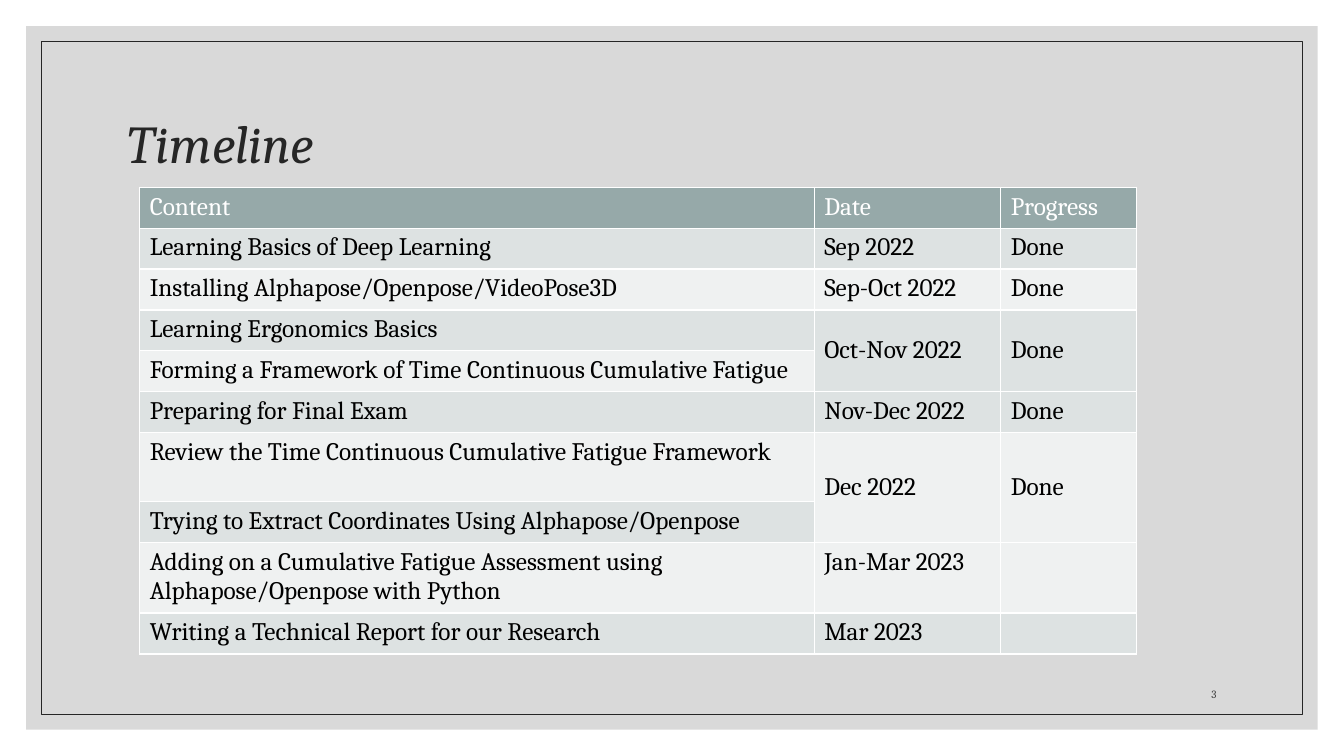
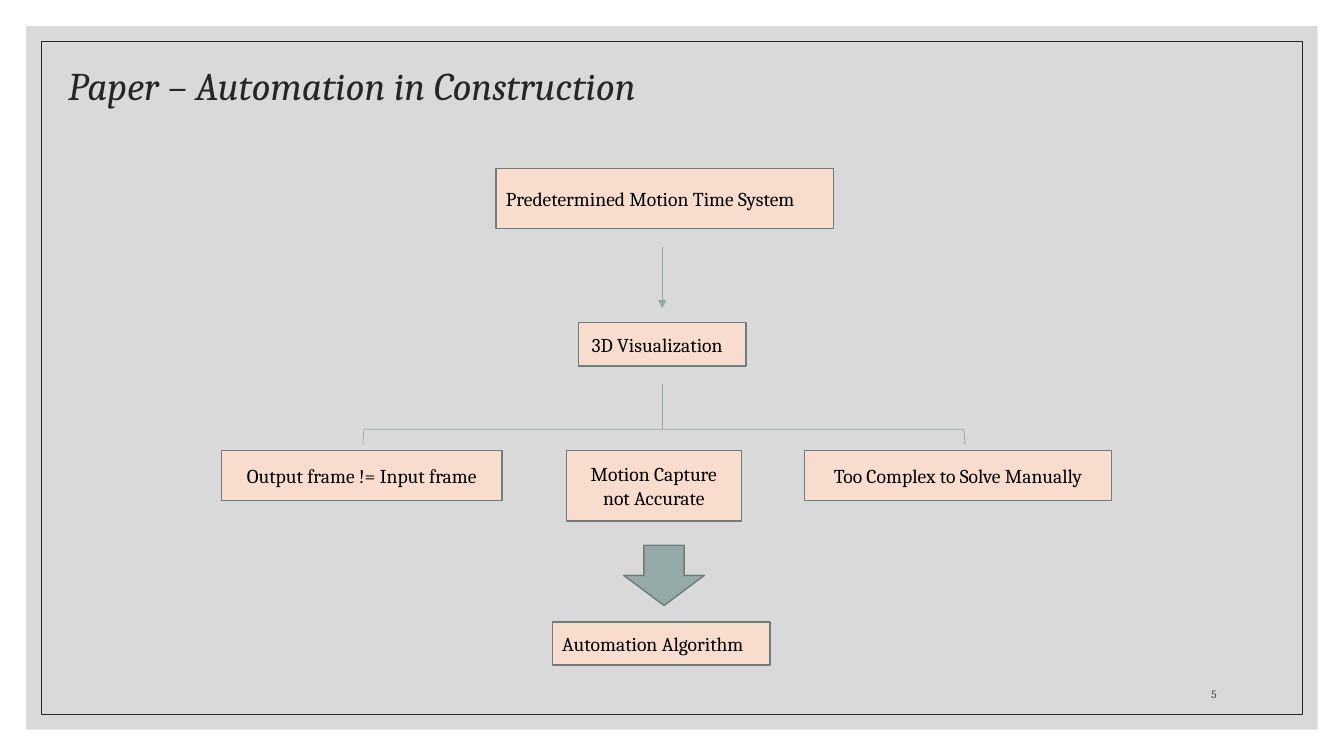
from dataclasses import dataclass

from pptx import Presentation
from pptx.dml.color import RGBColor
from pptx.enum.shapes import MSO_CONNECTOR, MSO_SHAPE
from pptx.enum.text import MSO_ANCHOR, PP_ALIGN
from pptx.oxml import parse_xml
from pptx.oxml.ns import nsdecls, qn
from pptx.oxml.xmlchemy import OxmlElement
from pptx.shapes.autoshape import Shape
from pptx.shapes.connector import Connector
from pptx.slide import Slide
from pptx.table import _Cell
from pptx.text.text import _Paragraph
from pptx.util import Cm, Pt

FONT = "Cambria"
WHITE = RGBColor(0xFF, 0xFF, 0xFF)
BLACK = RGBColor(0x00, 0x00, 0x00)
PANEL = RGBColor(0xD9, 0xD9, 0xD9)
INK = RGBColor(0x26, 0x26, 0x26)
NUMBER_GREY = RGBColor(0x40, 0x40, 0x40)
TEAL = RGBColor(0x96, 0xA9, 0xA9)
TEAL_DARK = RGBColor(0x6F, 0x7D, 0x7D)
BAND_DARK = RGBColor(0xDD, 0xE2, 0xE2)
BAND_LIGHT = RGBColor(0xEF, 0xF1, 0xF1)
PEACH = RGBColor(0xF8, 0xDD, 0xCF)

SLIDE_W, SLIDE_H = 33.87, 19.05
AXIS_X = 16.69


@dataclass
class Task:
    content: str
    date: str = ""
    progress: str = ""
    rows: int = 1
    height: float = 1.03


@dataclass
class Box:
    text: str
    left: float
    top: float
    width: float
    height: float
    align: PP_ALIGN = PP_ALIGN.CENTER
    inset: float = 0.25


TASKS = [
    Task("Learning Basics of Deep Learning", "Sep 2022", "Done"),
    Task("Installing Alphapose/Openpose/VideoPose3D", "Sep-Oct 2022", "Done"),
    Task("Learning Ergonomics Basics", "Oct-Nov 2022", "Done", rows=2),
    Task("Forming a Framework of Time Continuous Cumulative Fatigue"),
    Task("Preparing for Final Exam", "Nov-Dec 2022", "Done"),
    Task("Review the Time Continuous Cumulative Fatigue Framework",
         "Dec 2022", "Done", rows=2, height=1.74),
    Task("Trying to Extract Coordinates Using Alphapose/Openpose"),
    Task("Adding on a Cumulative Fatigue Assessment using "
         "Alphapose/Openpose with Python", "Jan-Mar 2023", height=1.72),
    Task("Writing a Technical Report for our Research", "Mar 2023"),
]

BOXES = [
    Box("Predetermined Motion Time System", 12.5, 4.24, 8.51, 1.52, PP_ALIGN.LEFT),
    Box("3D Visualization", 14.58, 8.13, 4.22, 1.09, PP_ALIGN.LEFT, 0.33),
    Box("Output frame != Input frame", 5.59, 11.35, 7.06, 1.27),
    Box("Motion Capture not Accurate", 14.27, 11.35, 4.42, 1.78),
    Box("Too Complex to Solve Manually", 20.27, 11.35, 7.75, 1.27),
    Box("Automation Algorithm", 13.92, 15.67, 5.49, 1.09, PP_ALIGN.LEFT),
]


def style(p: _Paragraph, size: float, color: RGBColor, italic: bool = False) -> None:
    f = p.font
    f.name, f.size, f.bold, f.italic = FONT, Pt(size), False, italic
    f.color.rgb = color


def add_shape(s: Slide, kind: MSO_SHAPE, left: float, top: float, width: float,
              height: float, fill: RGBColor | None = None,
              line: RGBColor | None = None, weight: float = 1) -> Shape:
    sp = s.shapes.add_shape(kind, Cm(left), Cm(top), Cm(width), Cm(height))
    sp.shadow.inherit = False
    if fill is None:
        sp.fill.background()
    else:
        sp.fill.solid()
        sp.fill.fore_color.rgb = fill
    if line is None:
        sp.line.fill.background()
    else:
        sp.line.color.rgb = line
        sp.line.width = Pt(weight)
    return sp


def add_text(s: Slide, text: str, left: float, top: float, width: float,
             height: float, anchor: MSO_ANCHOR) -> _Paragraph:
    tf = s.shapes.add_textbox(Cm(left), Cm(top), Cm(width), Cm(height)).text_frame
    tf.word_wrap = True
    tf.vertical_anchor = anchor
    p = tf.paragraphs[0]
    p.text = text
    return p


def add_base(prs: Presentation, number: int) -> Slide:
    """Add a blank slide with the grey panel, its frame and the slide number."""
    s = prs.slides.add_slide(prs.slide_layouts[6])
    for margin, fill, line in ((0.66, PANEL, None), (1.04, None, INK)):
        add_shape(s, MSO_SHAPE.RECTANGLE, margin, margin, SLIDE_W - 2 * margin,
                  SLIDE_H - 2 * margin, fill, line, 0.5)
    p = add_text(s, str(number), 28.57, 16.76, 2.34, 1.02, MSO_ANCHOR.BOTTOM)
    p.alignment = PP_ALIGN.RIGHT
    style(p, 8, NUMBER_GREY)
    return s


def add_title(s: Slide, text: str, left: float, top: float, width: float,
              height: float, size: float) -> None:
    p = add_text(s, text, left, top, width, height, MSO_ANCHOR.MIDDLE)
    p.line_spacing = 0.9
    style(p, size, INK, italic=True)


def fill_cell(cell: _Cell, text: str, color: RGBColor, fill: RGBColor) -> None:
    tc_pr = cell._tc.get_or_add_tcPr()
    for side in ("lnL", "lnR", "lnT", "lnB"):
        tc_pr.append(parse_xml(
            f'<a:{side} {nsdecls("a")} w="12700"><a:solidFill>'
            f'<a:srgbClr val="{WHITE}"/></a:solidFill></a:{side}>'))
    cell.fill.solid()
    cell.fill.fore_color.rgb = fill
    p = cell.text_frame.paragraphs[0]
    p.text = text
    style(p, 18, color)


def add_timeline(s: Slide) -> None:
    rows = [Task("Content", "Date", "Progress"), *TASKS]
    widths = (17, 4.7, 3.43)
    table = s.shapes.add_table(
        len(rows), len(widths), Cm(3.52), Cm(4.72), Cm(sum(widths)),
        Cm(sum(task.height for task in rows))).table
    for column, width in zip(table.columns, widths):
        column.width = Cm(width)
    for i, task in enumerate(rows):
        table.rows[i].height = Cm(task.height)
        color = WHITE if i == 0 else BLACK
        fill = TEAL if i == 0 else BAND_DARK if i % 2 else BAND_LIGHT
        for j, text in enumerate((task.content, task.date, task.progress)):
            cell = table.cell(i, j)
            fill_cell(cell, text, color, fill)
            if j > 0 and task.rows > 1:
                cell.merge(table.cell(i + task.rows - 1, j))
                cell.vertical_anchor = MSO_ANCHOR.MIDDLE


def add_box(s: Slide, box: Box) -> None:
    sp = add_shape(s, MSO_SHAPE.RECTANGLE, box.left, box.top, box.width,
                   box.height, PEACH, TEAL_DARK)
    tf = sp.text_frame
    tf.word_wrap = True
    tf.vertical_anchor = MSO_ANCHOR.MIDDLE
    tf.margin_left = Cm(box.inset)
    tf.margin_right = Cm(0.1)if box.align == PP_ALIGN.LEFT else Cm(box.inset)
    p = tf.paragraphs[0]
    p.text = box.text
    p.alignment = box.align
    style(p, 14, BLACK)


def add_stem(s: Slide, top: float, bottom: float) -> Connector:
    """Draw a thin vertical line on the axis of the flow chart."""
    c = s.shapes.add_connector(MSO_CONNECTOR.STRAIGHT, Cm(AXIS_X), Cm(top),
                               Cm(AXIS_X), Cm(bottom))
    c.line.color.rgb = TEAL
    c.line.width = Pt(0.5)
    c._element.spPr.append(OxmlElement("a:effectLst"))
    return c


def add_flow_chart(s: Slide) -> None:
    for box in BOXES:
        add_box(s, box)
    arrow = add_stem(s, 6.22, 7.77)
    head = OxmlElement("a:tailEnd")
    head.set("type", "triangle")
    arrow._element.spPr.find(qn("a:ln")).append(head)
    add_stem(s, 9.68, 10.82)
    bracket = add_shape(s, MSO_SHAPE.LEFT_BRACKET, 16.54, 3.43, 0.38, 15.16,
                        line=TEAL, weight=0.5)
    bracket.rotation = 90
    add_shape(s, MSO_SHAPE.DOWN_ARROW, 15.72, 13.74, 2.03, 1.52, TEAL, TEAL_DARK)


def main() -> None:
    prs = Presentation()
    prs.slide_width, prs.slide_height = Cm(SLIDE_W), Cm(SLIDE_H)

    s = add_base(prs, 3)
    add_title(s, "Timeline", 2.97, 1.78, 27.94, 3.81, 38)
    add_timeline(s)

    s = add_base(prs, 5)
    add_title(s, "Paper – Automation in Construction", 1.47, 1.35, 19.53, 1.7, 28)
    add_flow_chart(s)

    prs.save("out.pptx")


if __name__ == "__main__":
    main()
